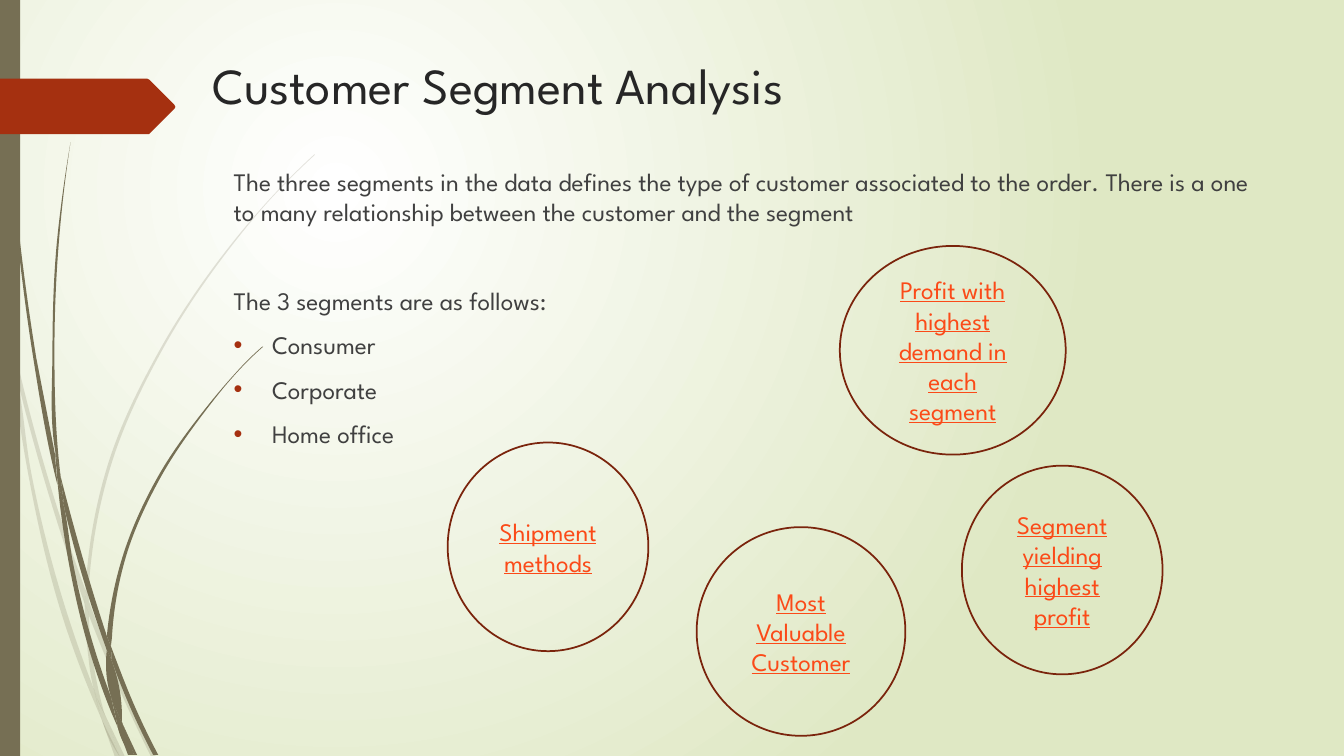
import dataclasses
import math
import pptx
import pptx.dml.color
import pptx.enum.shapes
import pptx.enum.text
import pptx.oxml
import pptx.oxml.ns
import pptx.util
from pptx.util import Inches


def color(value):
    return pptx.dml.color.RGBColor.from_string(value)


@dataclasses.dataclass(frozen=True)
class Theme:
    font: str = "League Spartan"
    title_size: int = 36
    text_size: int = 18
    outline: float = 1.25
    glow: str = "FFFFFF"
    backdrop: str = "DFE8C4"
    stem: str = "766F54"
    accent: str = "A53010"
    ring: str = "7A240C"
    title: str = "262626"
    body: str = "404040"
    link: str = "FB4A18"


THEME = Theme()
NAMESPACE = pptx.oxml.ns.nsdecls("a")

# Each blade of grass is a closed outline: smooth edges split by "|", points as "x y"
PALE_GRASS = [
    "0 2.82, .09 3.22, .11 3.5 | .1 3.44, 0 2.99",
    ".14 3.45, .62 5.2, .85 5.86 | .84 5.99, .58 5.22, .17 3.76",
    ".88 5.96, .92 6.07, 1.27 6.92, 1.55 7.51 | 1.5 7.51, 1.23 6.94, .88 6.1",
    "1.05 7.11, 1.24 7.51 | 1.19 7.51",
    ".11 3.5, .17 3.76, .31 4.69, .7 6.19, .93 6.83 | .99 7.07, 1.01 7.14"
    " | .92 6.93, .65 6.21, .28 4.7, .11 3.5",
    ".84 5.99, .87 6.46, .93 6.83, .96 6.92, 1.05 7.11"
    " | 1.03 7.06, .91 6.46, .88 6.1 | .88 6.08",
    ".88 5.84, 1.1 4.62, 1.6 3.49, 2.29 2.45, 2.68 1.98, 2.9 1.75, 3.12 1.54"
    " | 3.12 1.53, 2.89 1.75, 2.68 1.97, 2.28 2.44, 1.58 3.48, 1.07 4.61, .85 5.84"
    " | .85 5.86, .88 5.96",
    "1.01 7.14, 1.14 7.51 | 1.19 7.51",
    ".88 6.08, .88 6.1 | .88 5.96, .85 5.86 | .84 5.99",
    ".93 6.83, .99 7.07, 1.01 7.14, 1.19 7.51 | 1.05 7.11, .96 6.92",
]
DARK_GRASS = [
    ".03 0, .04 .48, .07 1.1, .17 2.33, .33 3.55, .56 4.77, .57 4.81"
    " | .55 4.57, .55 4.53 | .36 3.55, .19 2.32, .08 1.09, .05 .48, .04 0",
    ".6 4.72, .93 5.9, 1.06 6.31 | 1.06 6.45, .88 5.92, .64 5.05",
    "1.1 6.41, 1.13 6.49, 1.36 7.06, 1.57 7.49 | 1.52 7.49, 1.32 7.08, 1.11 6.56",
    ".57 4.77, .64 5.05, .72 5.56, .98 6.57, 1.1 6.91 | 1.16 7.17, 1.17 7.22"
    " | 1.11 7.08, .93 6.59, .68 5.57, .57 4.77",
    ".6 4.72, .55 4.49, .52 3.49, .56 2.45, .62 1.93, .7 1.41"
    " | .7 1.41, .63 1.93, .58 2.45, .54 3.49, .58 4.53, .6 4.72",
    "1.22 7.19, 1.36 7.49 | 1.33 7.49",
    ".57 4.77, .64 5.05 | .6 4.72, .55 4.49 | .55 4.53",
    "1.06 6.31, 1.22 5.51, 1.56 4.74, 2.04 4.05, 2.31 3.73, 2.45 3.58, 2.6 3.44"
    " | 2.61 3.44, 2.45 3.59, 2.31 3.74, 2.05 4.06, 1.58 4.76, 1.25 5.52, 1.11 6.33"
    " | 1.1 6.41",
    "1.17 7.22, 1.27 7.49 | 1.31 7.49",
    "1.06 6.45, 1.1 6.91, 1.16 7.06, 1.22 7.19 | 1.21 7.16, 1.11 6.56, 1.09 6.51",
    "1.06 6.31, 1.06 6.45, 1.09 6.51, 1.11 6.56 | 1.1 6.41",
    "1.1 6.91, 1.16 7.17, 1.17 7.22, 1.3 7.49 | 1.33 7.49, 1.22 7.19, 1.16 7.06",
]
SEGMENTS = ["Consumer", "Corporate", "Home office"]
TOPICS = [
    ("Profit with highest demand in each segment", (8.33, 2.44, 2.24, 2.07)),
    ("Segment yielding highest profit", (9.54, 4.62, 1.99, 2.07)),
    ("Most Valuable Customer", (6.91, 5.23, 2.07, 2.07)),
    ("Shipment methods", (4.44, 4.39, 1.99, 2.07)),
]


def curve_edge(anchors):
    """Return one list per anchor: its point, after two curve handles where it is smooth."""
    if len(anchors) < 3:
        return [[point] for point in anchors]
    lengths = [math.dist(a, b) for a, b in zip(anchors, anchors[1:])]
    chords = [((b[0] - a[0]) / n, (b[1] - a[1]) / n)
              for a, b, n in zip(anchors, anchors[1:], lengths)]
    slopes = [tuple((p * after + q * before) / (before + after) for p, q in zip(u, v))
              for u, v, before, after in zip(chords, chords[1:], lengths, lengths[1:])]
    first = tuple(2 * c - s for c, s in zip(chords[0], slopes[0]))
    last = tuple(2 * c - s for c, s in zip(chords[-1], slopes[-1]))
    slopes = [first, *slopes, last]
    moves = [[anchors[0]]]
    for a, b, u, v, length in zip(anchors, anchors[1:], slopes, slopes[1:], lengths):
        moves.append([tuple(p + d * length / 3 for p, d in zip(a, u)),
                      tuple(p - d * length / 3 for p, d in zip(b, v)), b])
    return moves


def paint(shape, fill):
    shape.shadow.inherit = False
    shape.fill.solid()
    shape.fill.fore_color.rgb = color(fill)
    shape.line.fill.background()


def add_outline(shapes, moves, box, fill):
    left, top = box[:2]
    moves = [[(Inches(left + x), Inches(top + y)) for x, y in move] for move in moves]
    builder = shapes.build_freeform(*moves[0][-1])
    builder.add_line_segments([move[-1] for move in moves[1:]], close=True)
    shape = builder.convert_to_shape()
    paint(shape, fill)
    # Bend the straight segments that have handles
    lines = shape._element.findall(".//" + pptx.oxml.ns.qn("a:lnTo"))
    for line, move in zip(lines, moves[1:]):
        if len(move) == 3:
            points = "".join(f'<a:pt x="{x - shape.left}" y="{y - shape.top}"/>'
                             for x, y in move)
            line.getparent().replace(line, pptx.oxml.parse_xml(
                f"<a:cubicBezTo {NAMESPACE}>{points}</a:cubicBezTo>"))
    return shape


def add_grass(page, blades, box, opacity=100):
    group = page.shapes.add_group_shape()
    for blade in blades:
        moves = []
        for edge in blade.split("|"):
            moves += curve_edge([tuple(map(float, pair.split())) for pair in edge.split(",")])
        shape = add_outline(group.shapes, moves, box, THEME.stem)
        if opacity < 100:
            tint = shape._element.find(".//" + pptx.oxml.ns.qn("a:srgbClr"))
            tint.append(pptx.oxml.parse_xml(f'<a:alpha {NAMESPACE} val="{opacity * 1000}"/>'))


def add_backdrop(page):
    fill = page.background.fill
    fill.gradient()
    for stop, value in zip(fill.gradient_stops, (THEME.glow, THEME.backdrop)):
        stop.color.rgb = color(value)
    gradient = page._element.find(".//" + pptx.oxml.ns.qn("a:gradFill"))
    linear = gradient.find(pptx.oxml.ns.qn("a:lin"))
    gradient.replace(linear, pptx.oxml.parse_xml(
        f'<a:path {NAMESPACE} path="circle">'
        '<a:fillToRect l="50000" t="50000" r="100000" b="100000"/></a:path>'))


def add_side_decoration(page, box):
    left, top, width, height = box
    add_grass(page, PALE_GRASS, box, opacity=20)
    add_grass(page, DARK_GRASS, box)
    bar = page.shapes.add_shape(pptx.enum.shapes.MSO_SHAPE.RECTANGLE,
                                *map(Inches, (left, top, 0.2, height)))
    paint(bar, THEME.stem)
    # Pointed flag beside the title
    flag = [(0, 0), (1.46, 0), (1.48, 0.01), (1.73, 0.26), (1.74, 0.28), (1.73, 0.3),
            (1.48, 0.55), (1.46, 0.55), (0, 0.55)]
    add_outline(page.shapes, [[point] for point in flag], (left, top + 0.78), THEME.accent)


def style(para, size, value):
    para.font.name = THEME.font
    para.font.size = pptx.util.Pt(size)
    para.font.color.rgb = color(value)


def add_text(page, lines, box, size, value):
    frame = page.shapes.add_textbox(*map(Inches, box)).text_frame
    frame.word_wrap = True
    frame.text = "\n".join(lines)
    for para in frame.paragraphs:
        style(para, size, value)
    return frame.paragraphs


def add_body(page, box):
    intro = ("The three segments in the data defines the type of customer associated to the "
             "order. There is a one to many relationship between the customer and the segment")
    paras = add_text(page, [intro, "The 3 segments are as follows:", *SEGMENTS],
                     box, THEME.text_size, THEME.body)
    paras[1].space_before = pptx.util.Pt(42)
    for para in paras[2:]:
        para.space_before = pptx.util.Pt(10)
        properties = para._p.get_or_add_pPr()
        properties.set("marL", str(Inches(0.38)))
        properties.set("indent", str(-Inches(0.38)))
        for bullet in (f'<a:buClr {{}}><a:srgbClr val="{THEME.accent}"/></a:buClr>',
                       '<a:buFont {} typeface="Arial"/>', '<a:buChar {} char="•"/>'):
            node = pptx.oxml.parse_xml(bullet.format(NAMESPACE))
            properties.insert_element_before(node, "a:tabLst", "a:defRPr", "a:extLst")


def add_topic(page, label, box):
    ring = page.shapes.add_shape(pptx.enum.shapes.MSO_SHAPE.OVAL, *map(Inches, box))
    ring.shadow.inherit = False
    ring.fill.background()
    ring.line.color.rgb = color(THEME.ring)
    ring.line.width = pptx.util.Pt(THEME.outline)
    frame = ring.text_frame
    frame.word_wrap = True
    frame.vertical_anchor = pptx.enum.text.MSO_ANCHOR.MIDDLE
    frame.text = label
    para = frame.paragraphs[0]
    para.alignment = pptx.enum.text.PP_ALIGN.CENTER
    style(para, THEME.text_size, THEME.link)
    para.font.underline = True


def add_segment_page(deck, box):
    page = deck.slides.add_slide(deck.slide_layouts[6])
    left, top = box[:2]
    add_backdrop(page)
    add_side_decoration(page, box)
    add_text(page, ["Customer Segment Analysis"], (left + 2.01, top + 0.49, 10.84, 1.11),
             THEME.title_size, THEME.title)
    add_body(page, (left + 2.22, top + 1.6, 10.36, 5.9))
    for label, (x, y, width, height) in TOPICS:
        add_topic(page, label, (left + x, top + y, width, height))


deck = pptx.Presentation()
deck.slide_width, deck.slide_height = Inches(13.33), Inches(7.5)
add_segment_page(deck, (0, 0, 13.33, 7.5))
deck.save("out.pptx")
